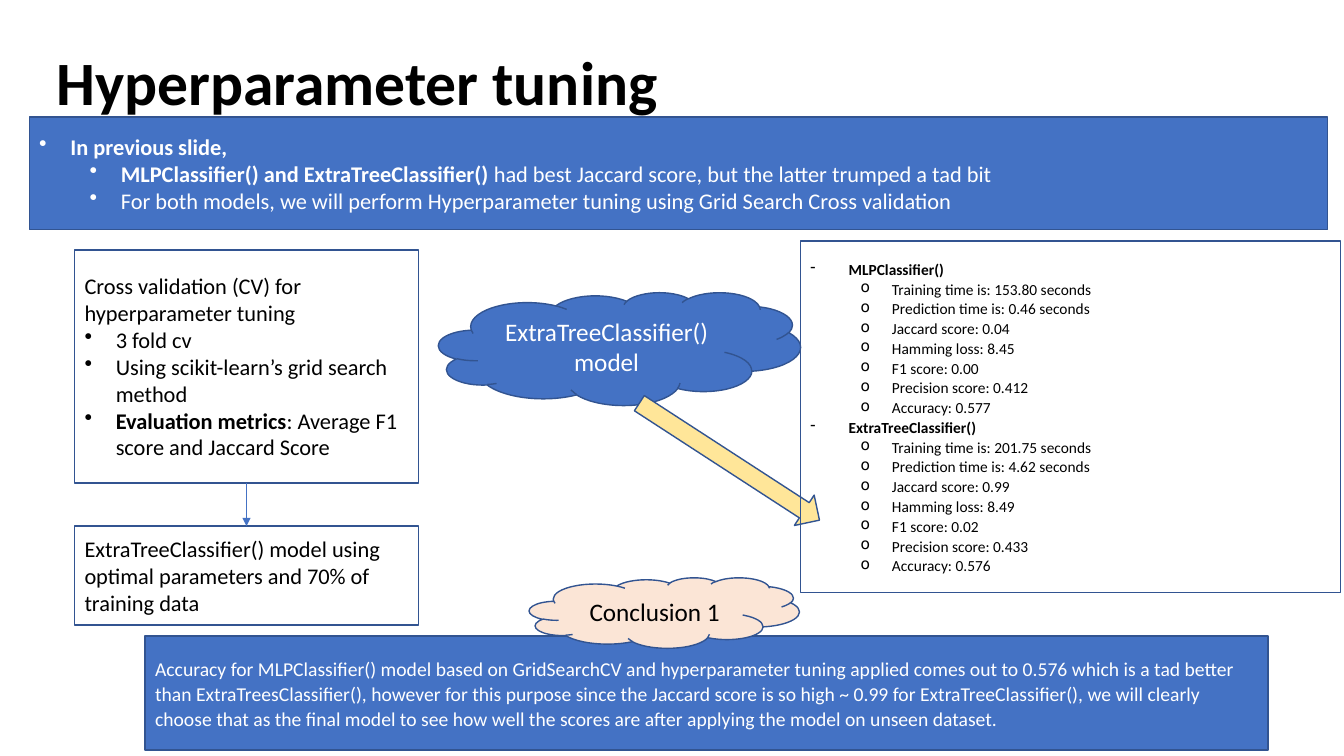
from dataclasses import dataclass

from lxml.etree import SubElement
from pptx import Presentation
from pptx.dml.color import RGBColor
from pptx.enum.shapes import MSO_CONNECTOR as Connector, MSO_SHAPE as Shape
from pptx.enum.text import MSO_ANCHOR as Anchor, PP_ALIGN as Align
from pptx.oxml.ns import qn
from pptx.util import Inches, Pt

# Content: a line is (style, [(text, bold), ...])
TITLE = [("title", [("Hyperparameter tuning", True)])]
INTRO = [
    ("intro", [("In previous slide,", True)]),
    ("intro_sub", [("MLPClassifier() and ExtraTreeClassifier() ", True),
                   ("had best Jaccard score, but the latter trumped a tad bit", False)]),
    ("intro_sub", [("For both models, we will perform Hyperparameter tuning "
                    "using Grid Search Cross validation", False)]),
]
VALIDATION = [
    ("step", [("Cross validation (CV) for hyperparameter tuning", False)]),
    ("step_item", [("3 fold cv", False)]),
    ("step_item", [("Using scikit-learn’s grid search method", False)]),
    ("step_item", [("Evaluation metrics", True),
                   (": Average F1 score and Jaccard Score", False)]),
]
TRAINING = [("step", [("ExtraTreeClassifier() model using optimal parameters "
                       "and 70% of training data", False)])]
MODEL = [("cloud_light", [("ExtraTreeClassifier() model", False)])]
CONCLUSION = [("cloud_dark", [("Conclusion 1", False)])]
VERDICT = [("verdict", [(
    "Accuracy for MLPClassifier() model based on GridSearchCV and hyperparameter tuning "
    "applied comes out to 0.576 which is a tad better than ExtraTreesClassifier(), however "
    "for this purpose since the Jaccard score is so high ~ 0.99 for ExtraTreeClassifier(), "
    "we will clearly choose that as the final model to see how well the scores are after "
    "applying the model on unseen dataset.", False)])]
METRICS = ["Training time is: {} seconds", "Prediction time is: {} seconds",
           "Jaccard score: {}", "Hamming loss: {}", "F1 score: {}",
           "Precision score: {}", "Accuracy: {}"]
SCORES = {
    "MLPClassifier()": ["153.80", "0.46", "0.04", "8.45", "0.00", "0.412", "0.577"],
    "ExtraTreeClassifier()": ["201.75", "4.62", "0.99", "8.49", "0.02", "0.433", "0.576"],
}
RESULTS = []
for model_name, values in SCORES.items():
    RESULTS.append(("result", [(model_name, True)]))
    RESULTS += [("result_item", [(metric.format(value), False)])
                for metric, value in zip(METRICS, values)]


# Theme
@dataclass(frozen=True)
class Theme:
    font: str = "Calibri"
    blue: str = "4472C4"
    outline: str = "325491"
    yellow: str = "FFE699"
    peach: str = "FBE5D6"
    black: str = "000000"
    white: str = "FFFFFF"
    title: int = 44
    cloud: int = 18
    body: int = 16
    verdict: int = 14
    result: int = 11


@dataclass(frozen=True)
class Style:
    size: int
    color: str
    align: Align = Align.LEFT
    bullet: str = ""
    indent: float = 0
    hang: float = 0
    level: int = 0
    spacing: float = 1.0


THEME = Theme()
STYLES = {
    "title": Style(THEME.title, THEME.black, Align.CENTER, spacing=0.9),
    "intro": Style(THEME.body, THEME.white, Align.JUSTIFY, "•", 0.31, 0.31),
    "intro_sub": Style(THEME.body, THEME.white, Align.JUSTIFY, "•", 0.81, 0.31, 1),
    "step": Style(THEME.body, THEME.black),
    "step_item": Style(THEME.body, THEME.black, Align.LEFT, "•", 0.31, 0.31),
    "cloud_light": Style(THEME.cloud, THEME.white, Align.CENTER),
    "cloud_dark": Style(THEME.cloud, THEME.black, Align.CENTER),
    "verdict": Style(THEME.verdict, THEME.white, spacing=1.07),
    "result": Style(THEME.result, THEME.black, Align.LEFT, "-", 0.38, 0.38, 0, 1.07),
    "result_item": Style(THEME.result, THEME.black, Align.LEFT, "o", 0.81, 0.31, 1, 1.07),
}

# Layout: left, top, width, height in percent of the slide
MARGIN, STEP_LEFT, STEP_WIDTH = 2.18, 5.55, 25.58
TITLE_AREA = (MARGIN, 5.87, 48.83, 11.2)
PARTS = [  # name, shape, area, fill, lines, rotation
    ("intro", Shape.RECTANGLE, (MARGIN, 15.47, 96.6, 14.93), THEME.blue, INTRO, 0),
    ("validation", Shape.RECTANGLE, (STEP_LEFT, 33.07, STEP_WIDTH, 30.8), None, VALIDATION, 0),
    ("training", Shape.RECTANGLE, (STEP_LEFT, 69.6, STEP_WIDTH, 13.07), None, TRAINING, 0),
    ("model", Shape.CLOUD, (32.63, 38.67, 26.93, 14.93), THEME.blue, MODEL, 0),
    ("arrow", Shape.RIGHT_ARROW, (46.28, 58.67, 15.98, 4.8), THEME.yellow, [], 33),
    ("verdict", Shape.RECTANGLE, (10.8, 84.13, 83.55, 15.07), THEME.blue, VERDICT, 0),
    ("conclusion", Shape.CLOUD, (39.38, 76.4, 20.1, 9.33), THEME.peach, CONCLUSION, 0),
    ("results", Shape.RECTANGLE, (59.55, 31.87, 40.2, 46.53), None, RESULTS, 0),
]

deck = Presentation()
deck.slide_width, deck.slide_height = Inches(13.33), Inches(7.5)
page = deck.slides.add_slide(deck.slide_layouts[6])


def place(area):
    sides = (deck.slide_width, deck.slide_height) * 2
    return [int(side * share / 100) for side, share in zip(sides, area)]


def write(box, lines, anchor=Anchor.MIDDLE):
    frame = box.text_frame
    frame.word_wrap = True
    frame.vertical_anchor = anchor
    for index, (style_name, spans) in enumerate(lines):
        style = STYLES[style_name]
        para = frame.paragraphs[0] if index == 0 else frame.add_paragraph()
        para.alignment, para.level = style.align, style.level
        para.line_spacing = style.spacing
        if style.bullet:
            props = para._p.get_or_add_pPr()
            props.set("marL", str(Inches(style.indent)))
            props.set("indent", str(-Inches(style.hang)))
            SubElement(props, qn("a:buChar"), char=style.bullet)
        para.font.name, para.font.size = THEME.font, Pt(style.size)
        para.font.color.rgb = RGBColor.from_string(style.color)
        para.font.bold = spans[0][1]
        for text, bold in spans:
            span = para.add_run()
            span.text = text
            if bold != spans[0][1]:
                span.font.bold = bold


# Title
title = page.shapes.add_textbox(*place(TITLE_AREA))
write(title, TITLE, Anchor.BOTTOM)
title_frame = title.text_frame
title_frame.margin_top = title_frame.margin_bottom = Inches(0.1)

# Boxes, clouds and block arrow
boxes = {}
for name, kind, area, fill, lines, rotation in PARTS:
    box = boxes[name] = page.shapes.add_shape(kind, *place(area))
    box.shadow.inherit = False
    box.rotation = rotation
    if fill:
        box.fill.solid()
        box.fill.fore_color.rgb = RGBColor.from_string(fill)
    else:
        box.fill.background()
    box.line.color.rgb = RGBColor.from_string(THEME.outline)
    box.line.width = Pt(1)
    if lines:
        write(box, lines)

# Arrow from validation to training
link = page.shapes.add_connector(Connector.STRAIGHT, 0, 0, 0, 0)
link.begin_connect(boxes["validation"], 2)
link.end_connect(boxes["training"], 0)
link.line.color.rgb = RGBColor.from_string(THEME.blue)
link.line.width = Pt(0.5)
SubElement(link.line._get_or_add_ln(), qn("a:tailEnd"), type="triangle")
SubElement(link._element.spPr, qn("a:effectLst"))

deck.save("out.pptx")
